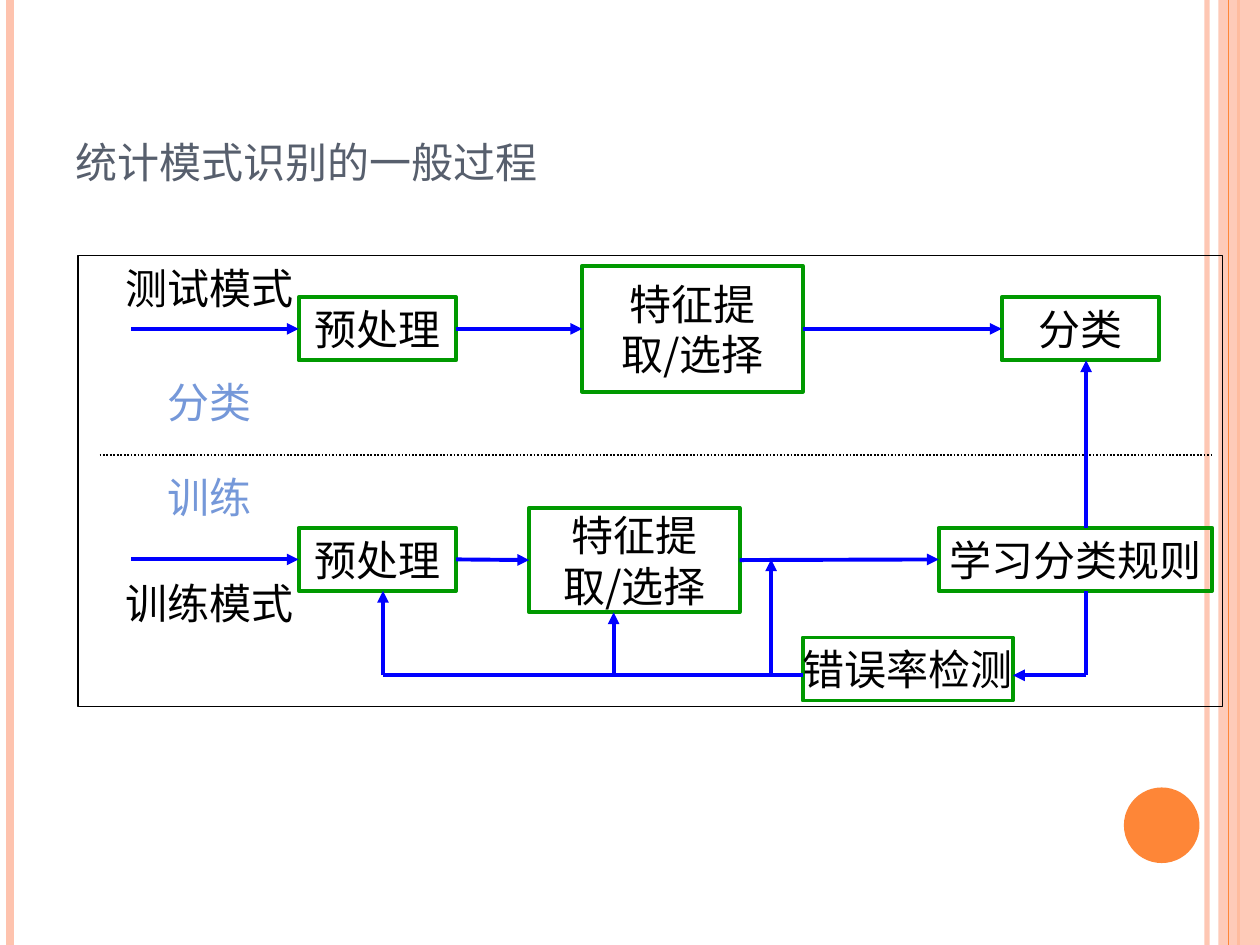
"""Builds a slide with a flow chart of statistical pattern recognition."""
from pptx import Presentation
from pptx.dml.color import RGBColor
from pptx.enum.dml import MSO_LINE_DASH_STYLE as Dash
from pptx.enum.shapes import MSO_CONNECTOR as Connector, MSO_SHAPE as Shape
from pptx.enum.text import MSO_ANCHOR as Anchor, MSO_AUTO_SIZE as AutoSize, PP_ALIGN as Align
from pptx.oxml.ns import qn
from pptx.util import Pt
from lxml.etree import SubElement

PX = 9144
LEFT, RIGHT, BOTTOM = 1, 3, 2
COLORS = {
    "peach": "FEC3AE", "orange": "FE8637", "slate": "575F6D", "black": "000000",
    "green": "009900", "blue": "0000FF", "sky": "7598D9",
}


def rgb(name):
    return RGBColor.from_string(COLORS[name])


def write(frame, text, size=24, font="Noto Sans CJK SC", color="black",
          align=Align.CENTER, anchor=Anchor.MIDDLE, wrap=False, small_caps=False):
    frame.auto_size = AutoSize.NONE
    frame.word_wrap = wrap
    frame.vertical_anchor = anchor
    for index, line in enumerate(text.split("\n")):
        para = frame.add_paragraph() if index else frame.paragraphs[0]
        para.alignment = align
        span = para.add_run()
        span.text = line
        span.font.size = Pt(size)
        span.font.name = font
        span.font.color.rgb = rgb(color)
        props = span.font._element
        SubElement(props, qn("a:ea")).set("typeface", "Noto Sans CJK SC")
        if small_caps:
            props.set("cap", "small")


def set_opacity(fill_parent, percent):
    color = next(fill_parent.iter(qn("a:srgbClr")))
    SubElement(color, qn("a:alpha")).set("val", str(percent * 1000))


class Canvas:
    """Holds the style and the current slide."""

    def __init__(self, page):
        self.page = page
        self.weight = 2.25

    def title(self, text, left, top, width, height):
        box = self.page.shapes.title
        box.left, box.top, box.width, box.height = (
            value * PX for value in (left, top, width, height))
        write(box.text_frame, text, size=30, font="Cambria", color="slate",
              align=Align.LEFT, anchor=Anchor.BOTTOM, wrap=True, small_caps=True)

    def shape(self, kind, left, top, width, height, fill=None, line=None,
              weight=None, opacity=None):
        box = self.page.shapes.add_shape(
            kind, *(value * PX for value in (left, top, width, height)))
        box.shadow.inherit = False
        if fill:
            box.fill.solid()
            box.fill.fore_color.rgb = rgb(fill)
        else:
            box.fill.background()
        if line:
            box.line.color.rgb = rgb(line)
            box.line.width = Pt(weight or self.weight)
        else:
            box.line.fill.background()
        if opacity:
            set_opacity(box._element.spPr, opacity)
        return box

    def step(self, text, left, top, width=125, height=50, line="green", color="black"):
        box = self.shape(Shape.FLOWCHART_PROCESS, left, top, width, height, line=line)
        write(box.text_frame, text, color=color)
        return box

    def label(self, text, top, color="black"):
        return self.step(text, 104, top, line=None, color=color)

    def line(self, x1, y1, x2, y2, color="blue", weight=None, dash=None, opacity=None):
        link = self.page.shapes.add_connector(
            Connector.STRAIGHT, *(value * PX for value in (x1, y1, x2, y2)))
        link.line.color.rgb = rgb(color)
        link.line.width = Pt(weight or self.weight)
        if dash:
            link.line.dash_style = dash
        if opacity:
            set_opacity(link._element.spPr, opacity)
        SubElement(link._element.spPr, qn("a:effectLst"))
        return link

    def arrow(self, x1, y1, x2, y2, source=None, target=None):
        link = self.line(x1, y1, x2, y2)
        if source:
            link.begin_connect(source, RIGHT)
        if target:
            link.end_connect(target, LEFT)
        SubElement(link.line._get_or_add_ln(), qn("a:tailEnd")).set("type", "triangle")
        return link


def draw_decoration(canvas):
    for x, color, weight, opacity in (
            (958, "peach", 3, 93), (8, "peach", 4.5, None), (983, "orange", 1.5, None)):
        canvas.line(x, 0, x, 750, color, weight, opacity=opacity)
    canvas.shape(Shape.RECTANGLE, 967, 0, 33, 750, fill="peach", opacity=87)
    canvas.line(975, 0, 975, 750, "orange", 0.75)
    canvas.shape(Shape.OVAL, 892, 625, 60, 60, fill="orange")


def draw_flow(canvas):
    canvas.shape(Shape.RECTANGLE, 62, 203, 908, 358, line="black", weight=0.75)
    canvas.line(79, 361, 962, 361, "black", 1, Dash.ROUND_DOT)

    test_row = (canvas.step("预处理", 237, 236),
                canvas.step("特征提\n取/选择", 462, 211, 175, 100),
                canvas.step("分类", 795, 236))
    train_row = (canvas.step("预处理", 237, 419),
                 canvas.step("特征提\n取/选择", 420, 403, 167, 83),
                 canvas.step("学习分类规则", 745, 419, 217))
    for y, row in ((261, test_row), (444, train_row)):
        canvas.arrow(104, y, 237, y, target=row[0])
        for source, target in zip(row, row[1:]):
            canvas.arrow(362, y, 462, y, source, target)

    for text, top, color in (("测试模式", 203, "black"), ("训练模式", 453, "black"),
                             ("分类", 294, "sky"), ("训练", 369, "sky")):
        canvas.label(text, top, color)

    canvas.step("错误率检测", 637, 506, 167)
    canvas.arrow(862, 419, 862, 286)
    canvas.line(862, 469, 862, 536)
    canvas.arrow(862, 536, 804, 536)
    canvas.line(304, 536, 637, 536)
    for x, y in ((304, 469), (487, 486), (612, 444)):
        canvas.arrow(x, 536, x, y)


def main():
    deck = Presentation()
    deck.slide_width, deck.slide_height = 1000 * PX, 750 * PX
    canvas = Canvas(deck.slides.add_slide(deck.slide_layouts[5]))
    draw_decoration(canvas)
    canvas.title("统计模式识别的一般过程", 50, 30, 817, 125)
    draw_flow(canvas)
    deck.save("out.pptx")


if __name__ == "__main__":
    main()
